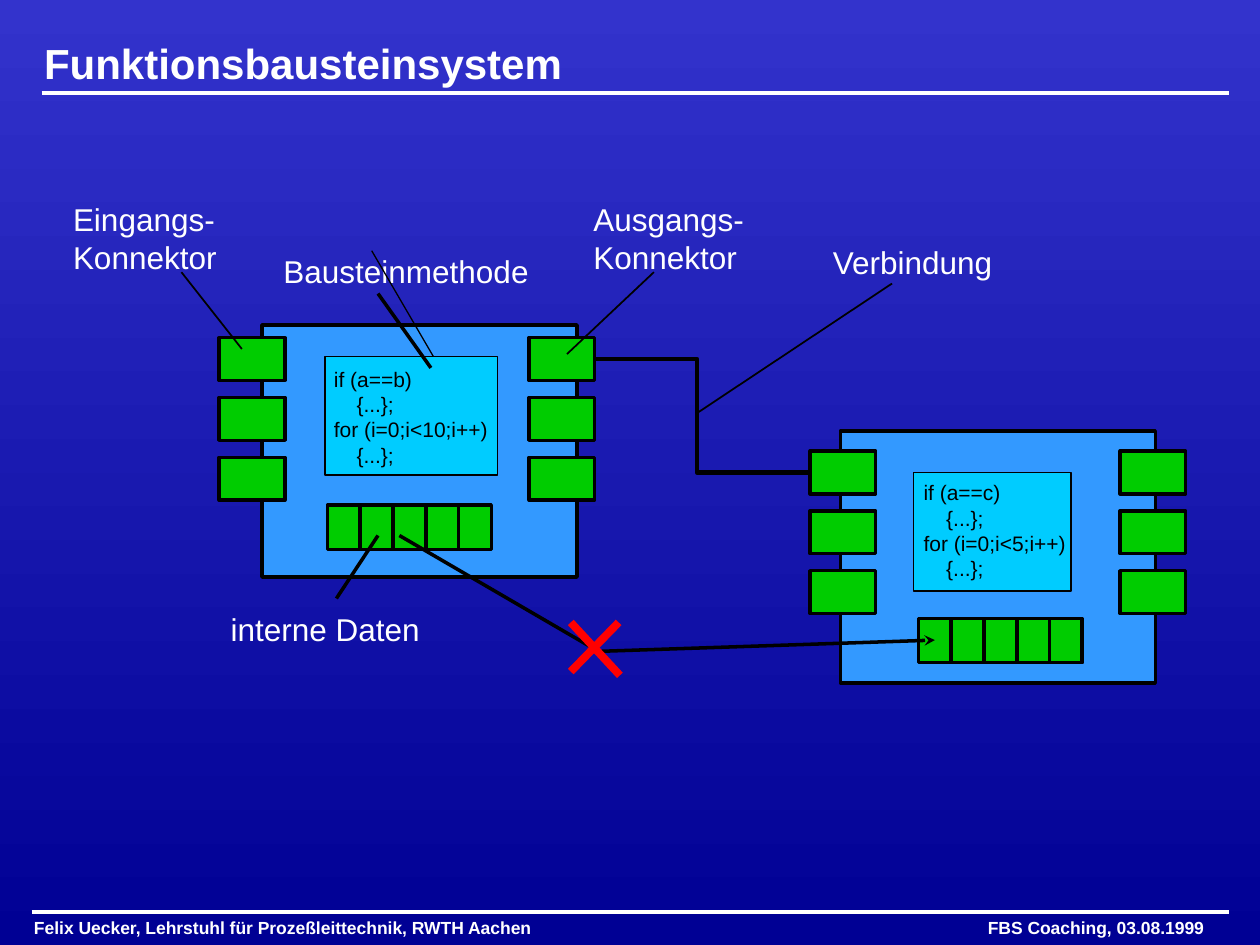
from dataclasses import dataclass

from lxml import etree
from pptx import Presentation
from pptx.dml.color import RGBColor
from pptx.enum import shapes, text
from pptx.oxml import ns
from pptx.util import Inches, Pt

WHITE = RGBColor(0xFF, 0xFF, 0xFF)
BLACK = RGBColor(0, 0, 0)
RED = RGBColor(0xFF, 0, 0)
GREEN = RGBColor(0, 0xCC, 0)
BODY_BLUE = RGBColor(0x33, 0x99, 0xFF)
CODE_BLUE = RGBColor(0, 0xCC, 0xFF)
BG_TOP = RGBColor(0x33, 0x33, 0xCC)
BG_BOTTOM = RGBColor(0, 0, 0x94)

PIN_W, PIN_H, PIN_STEP = 0.52, 0.34, 0.475
OUTPUT_DX = 2.46
CELL_W, CELL_H = 0.26, 0.35
CELLS_DX, CELLS_DY = 0.86, 1.33


@dataclass
class Label:
    lines: list[str]
    x: float
    y: float
    w: float
    h: float = 0.3
    size: int = 18
    bold: bool = False


@dataclass
class Stroke:
    x1: float
    y1: float
    x2: float
    y2: float
    width: float = 2
    color: RGBColor = BLACK
    arrow: bool = False


@dataclass
class Block:
    x: float
    y: float
    pin_x: float
    pin_y: float
    code_x: float
    code_y: float
    code_w: float
    inset_x: float
    inset_y: float
    code: list[str]


def sub(parent, tag: str, **attrs: str):
    return etree.SubElement(parent, ns.qn(tag), attrs)


def set_frame(tf, **insets: float) -> None:
    tf.word_wrap = True
    tf.vertical_anchor = text.MSO_ANCHOR.TOP
    for side in ("left", "top", "right", "bottom"):
        setattr(tf, f"margin_{side}", Inches(insets.get(side, 0)))


def write_lines(tf, lines: list[str], size: int, color: RGBColor, bold: bool = False) -> None:
    font = {"name": "Arial", "size": Pt(size), "bold": bold}
    for i, line in enumerate(lines):
        p = tf.paragraphs[0] if i == 0 else tf.add_paragraph()
        p.alignment = text.PP_ALIGN.LEFT
        r = p.add_run()
        r.text = line
        for key, value in font.items():
            setattr(r.font, key, value)
        r.font.color.rgb = color


def add_label(s, label: Label):
    sp = s.shapes.add_textbox(*map(Inches, (label.x, label.y, label.w, label.h)))
    set_frame(sp.text_frame)
    write_lines(sp.text_frame, label.lines, label.size, WHITE, label.bold)
    return sp


def add_box(s, x: float, y: float, w: float, h: float, fill: RGBColor, width: float = 2):
    sp = s.shapes.add_shape(shapes.MSO_SHAPE.RECTANGLE, *map(Inches, (x, y, w, h)))
    sp.shadow.inherit = False
    sp.fill.solid()
    sp.fill.fore_color.rgb = fill
    sp.line.color.rgb = BLACK
    sp.line.width = Pt(width)
    return sp


def style_connector(c, st: Stroke) -> None:
    c.line.color.rgb = st.color
    c.line.width = Pt(st.width)
    if st.arrow:
        sub(c.line._get_or_add_ln(), "a:tailEnd", type="stealth")
    sub(c._element.spPr, "a:effectLst")


def add_stroke(s, st: Stroke) -> None:
    ends = map(Inches, (st.x1, st.y1, st.x2, st.y2))
    style_connector(s.shapes.add_connector(shapes.MSO_CONNECTOR.STRAIGHT, *ends), st)


def add_pins(s, x: float, y: float) -> list:
    return [add_box(s, x, y + i * PIN_STEP, PIN_W, PIN_H, GREEN) for i in range(3)]


def add_block(s, b: Block) -> tuple[list, list]:
    add_box(s, b.x, b.y, 2.5, 2, BODY_BLUE)
    inputs = add_pins(s, b.pin_x, b.pin_y)
    outputs = add_pins(s, b.pin_x + OUTPUT_DX, b.pin_y)
    for i in range(5):
        add_box(s, b.pin_x + CELLS_DX + i * CELL_W, b.pin_y + CELLS_DY, CELL_W, CELL_H, GREEN)
    tf = add_box(s, b.code_x, b.code_y, b.code_w, 0.94, CODE_BLUE, 0.75).text_frame
    set_frame(tf, left=b.inset_x, top=b.inset_y)
    write_lines(tf, b.code, 12, BLACK)
    for p in tf.paragraphs[1::2]:
        p._p.get_or_add_pPr().set("marL", str(Inches(0.18)))
    return inputs, outputs


def add_link(s, source, target) -> None:
    c = s.shapes.add_connector(shapes.MSO_CONNECTOR.ELBOW, 0, 0, 0, 0)
    c.begin_connect(source, 3)
    c.end_connect(target, 1)
    guides = c._element.spPr.find(ns.qn("a:prstGeom")).get_or_add_avLst()
    sub(guides, "a:gd", name="adj1", fmla="val 47500")
    style_connector(c, Stroke(0, 0, 0, 0, 2.5))


BLOCKS = [
    Block(2.08, 2.58, 1.74, 2.68, 2.58, 2.83, 1.37, 0.07, 0.08,
          ["if (a==b)", "{...};", "for (i=0;i<10;i++)", "{...};"]),
    Block(6.67, 3.42, 6.43, 3.58, 7.25, 3.75, 1.25, 0.08, 0.06,
          ["if (a==c)", "{...};", "for (i=0;i<5;i++)", "{...};"]),
]
LABELS = [
    Label(["Funktionsbausteinsystem"], 0.35, 0.3, 9.3, 0.4, 24, True),
    Label(["Eingangs-", "Konnektor"], 0.58, 1.59, 1.3, 0.6),
    Label(["Ausgangs-", "Konnektor"], 4.71, 1.59, 1.4, 0.6),
    Label(["Bausteinmethode"], 2.25, 2, 2.1),
    Label(["Verbindung"], 6.61, 1.93, 1.5),
    Label(["interne Daten"], 1.83, 4.84, 1.7),
]
STROKES = [
    Stroke(0.33, 0.74, 9.75, 0.74, 2, WHITE),
    Stroke(0.25, 7.24, 9.75, 7.24, 2, WHITE),
    Stroke(1.44, 2.16, 1.92, 2.77, 1),
    Stroke(5.19, 2.16, 4.5, 2.81, 1),
    Stroke(2.95, 1.99, 3.44, 2.83, 0.75),
    Stroke(7.08, 2.25, 5.53, 3.28, 1),
    Stroke(3, 4.25, 2.67, 4.75),
    Stroke(3.17, 4.25, 4.75, 5.17),
    Stroke(3.42, 2.92, 3, 2.33),
    Stroke(4.75, 5.17, 7.42, 5.08, arrow=True),
    Stroke(4.53, 5.33, 4.91, 4.94, 4.5, RED),
    Stroke(4.53, 4.94, 4.92, 5.36, 4.5, RED),
]
FOOTER = Label(["Felix Uecker, Lehrstuhl für Prozeßleittechnik, RWTH Aachen\tFBS Coaching, 03.08.1999"],
               0.27, 7.28, 9.4, 0.18, 10, True)


def main() -> None:
    prs = Presentation()
    prs.slide_width, prs.slide_height = Inches(10), Inches(7.5)
    s = prs.slides.add_slide(prs.slide_layouts[6])
    fill = s.background.fill
    fill.gradient()
    fill.gradient_angle = 270
    for stop, color in zip(fill.gradient_stops, (BG_TOP, BG_BOTTOM)):
        stop.color.rgb = color

    (_, outputs), (inputs, _) = [add_block(s, b) for b in BLOCKS]
    add_link(s, outputs[0], inputs[0])
    for label in LABELS:
        add_label(s, label)
    for st in STROKES:
        add_stroke(s, st)
    p = add_label(s, FOOTER).text_frame.paragraphs[0]
    tabs = sub(p._p.get_or_add_pPr(), "a:tabLst")
    sub(tabs, "a:tab", pos=str(Inches(7.57)), algn="l")
    prs.save("out.pptx")


if __name__ == "__main__":
    main()
